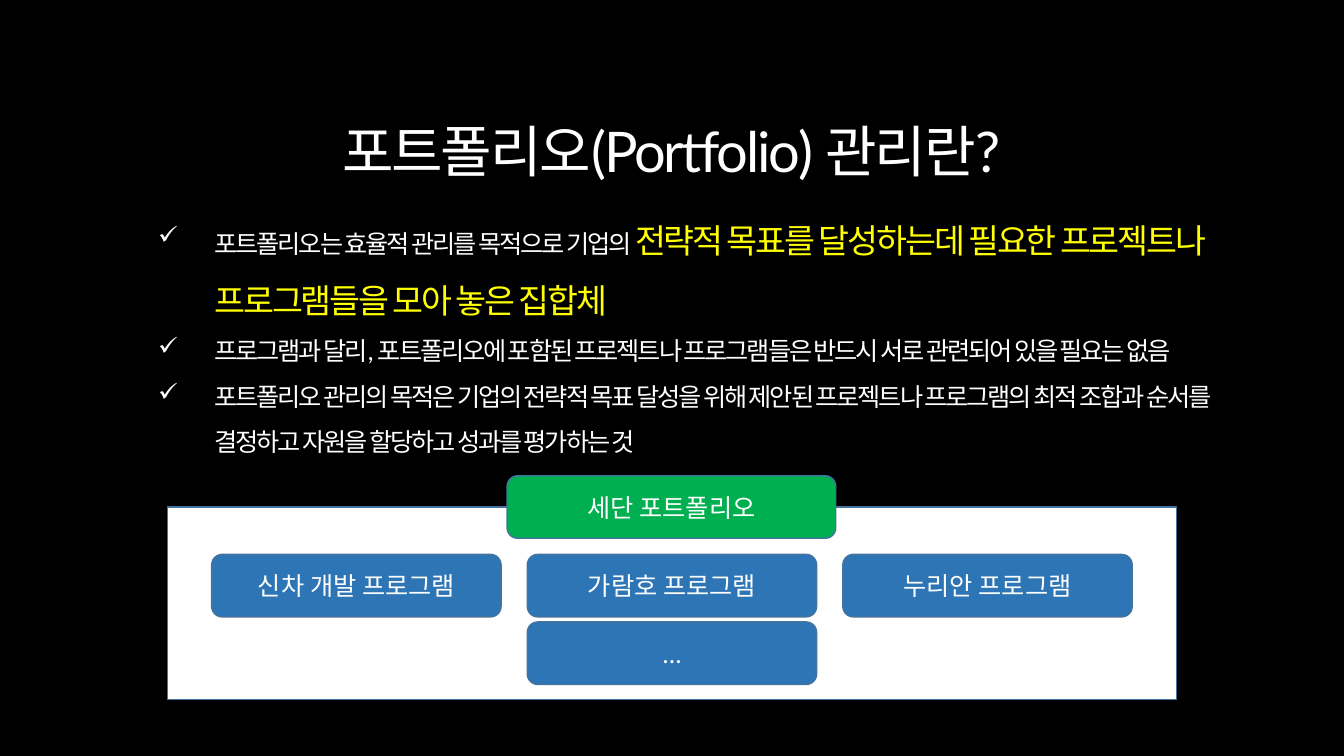
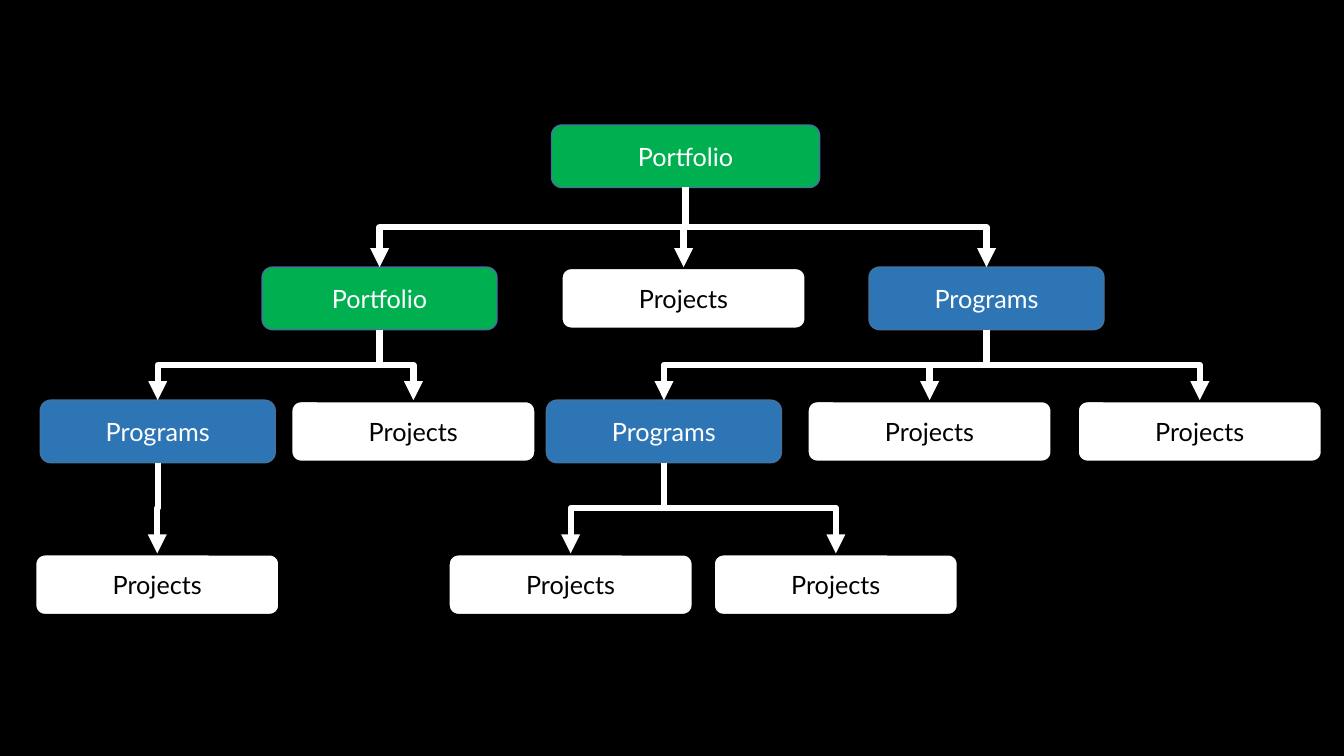
from lxml.etree import SubElement
from pptx import Presentation
from pptx.dml.color import RGBColor
from pptx.enum.shapes import MSO_CONNECTOR as CONNECTOR, MSO_SHAPE as SHAPE
from pptx.enum.text import MSO_ANCHOR as ANCHOR, PP_ALIGN as ALIGN
from pptx.oxml.ns import qn
from pptx.util import Pt

EMU_PER_PX = 9144  # 100 px to the inch
FONT = "Lato"
COLOURS = {
    "black": "000000",
    "white": "FFFFFF",
    "yellow": "FFFF00",
    "green": "00B050",
    "blue": "2E75B6",
    "edge": "43739E",
}
BOX_HEIGHT = 62
TOP, BOTTOM = 0, 2  # connection sites of a box


def px(length):
    return round(length * EMU_PER_PX)


def colour(name):
    return RGBColor.from_string(COLOURS[name])


class SlideMaker:
    """Holds the shared style and the slide being drawn."""

    def __init__(self):
        self.deck = Presentation()
        self.deck.slide_width, self.deck.slide_height = px(1333), px(750)
        self.page = None

    def new_page(self):
        self.page = self.deck.slides.add_slide(self.deck.slide_layouts[6])
        fill = self.page.background.fill
        fill.solid()
        fill.fore_color.rgb = colour("black")

    def style(self, para, size, ink):
        para.font.name = FONT
        para.font.size = Pt(size)
        para.font.color.rgb = colour(ink)

    def tight_span(self, para, text):
        span = para.add_run()
        span.text = text
        span._r.get_or_add_rPr().set("spc", "-150")
        return span

    def text_frame(self, x, y, width, height, wrap):
        box = self.page.shapes.add_textbox(px(x), px(y), px(width), px(height))
        box.text_frame.word_wrap = wrap
        return box.text_frame

    def title(self, text, x, y, width, height):
        para = self.text_frame(x, y, width, height, False).paragraphs[0]
        para.alignment = ALIGN.CENTER
        self.style(para, 40, "white")
        self.tight_span(para, text)

    def checklist(self, items, x, y, width, height):
        """Each item is a plain part and a highlighted part, which may be empty."""
        frame = self.text_frame(x, y, width, height, True)
        for index, (plain, highlight) in enumerate(items):
            para = frame.add_paragraph() if index else frame.paragraphs[0]
            para.line_spacing = 1.5
            props = para._p.get_or_add_pPr()
            props.set("marL", str(px(56)))
            props.set("indent", str(px(-56)))
            SubElement(props, qn("a:buChar"), char="✓")
            self.style(para, 18, "white")
            self.tight_span(para, plain)
            if highlight:
                span = self.tight_span(para, highlight)
                span.font.size = Pt(24)
                span.font.color.rgb = colour("yellow")

    def panel(self, x, y, width, height, fill, edge="edge", weight=1, kind=SHAPE.RECTANGLE):
        shape = self.page.shapes.add_shape(kind, px(x), px(y), px(width), px(height))
        shape.shadow.inherit = False
        shape.fill.solid()
        shape.fill.fore_color.rgb = colour(fill)
        shape.line.color.rgb = colour(edge)
        shape.line.width = Pt(weight)
        return shape

    def box(self, text, x, y, width, fill):
        on_white = fill == "white"
        edge, weight = ("black", 3) if on_white else ("edge", 1)
        shape = self.panel(x, y, width, BOX_HEIGHT, fill, edge, weight,
                           SHAPE.ROUNDED_RECTANGLE)
        frame = shape.text_frame
        frame.vertical_anchor = ANCHOR.MIDDLE
        para = frame.paragraphs[0]
        para.text = text
        para.alignment = ALIGN.CENTER
        self.style(para, 18, "black" if on_white else "white")
        return shape

    def branch(self, parent, child):
        """Elbow arrow that leaves the parent downwards and enters the child's top."""
        start_x = parent.left + parent.width // 2
        end_x = child.left + child.width // 2
        start_y, end_y = parent.top + parent.height, child.top
        arrow = self.page.shapes.add_connector(
            CONNECTOR.ELBOW, start_x, start_y, end_x, end_y)
        arrow.begin_connect(parent, BOTTOM)
        arrow.end_connect(child, TOP)

        # A quarter turn makes the first leg vertical
        drop, run = end_y - start_y, abs(end_x - start_x)
        arrow.left = (start_x + end_x - drop) // 2
        arrow.top = (start_y + end_y - run) // 2
        arrow.width, arrow.height = drop, run
        to_right = end_x > start_x
        frame = arrow._element.spPr.find(qn("a:xfrm"))
        frame.set("rot", "16200000" if to_right else "5400000")
        frame.set("flipH", "1" if to_right else "0")

        arrow.line.color.rgb = colour("white")
        arrow.line.width = Pt(4.5)
        SubElement(arrow.line._get_or_add_ln(), qn("a:tailEnd"), type="triangle")
        SubElement(arrow._element.spPr, qn("a:effectLst"))


def definition_page(maker):
    maker.new_page()
    maker.title("포트폴리오(Portfolio) 관리란?", 323, 111, 686, 77)
    maker.checklist([
        ("포트폴리오는 효율적 관리를 목적으로 기업의 ",
         "전략적 목표를 달성하는데 필요한 프로젝트나 프로그램들을 모아 놓은 집합체"),
        ("프로그램과 달리, 포트폴리오에 포함된 프로젝트나 프로그램들은 "
         "반드시 서로 관련되어 있을 필요는 없음", ""),
        ("포트폴리오 관리의 목적은 기업의 전략적 목표 달성을 위해 제안된 프로젝트나 "
         "프로그램의 최적 조합과 순서를 결정하고 자원을 할당하고 성과를 평가하는 것", ""),
    ], 147, 193, 1119, 268)

    # Example portfolio with its programs
    maker.panel(166, 503, 1001, 191, "white")
    maker.box("세단 포트폴리오", 503, 472, 326, "green")
    programs = [("신차 개발 프로그램", 0, 0), ("가람호 프로그램", 1, 0),
                ("누리안 프로그램", 2, 0), ("…", 1, 1)]
    for text, column, row in programs:
        maker.box(text, 210 + 313 * column, 550 + 67 * row, 287, "blue")


def hierarchy_page(maker):
    maker.new_page()
    row_tops = [124, 265, 397, 549]
    kinds = {"Portfolio": ("green", 233), "Programs": ("blue", 233),
             "Projects": ("white", 244)}

    # Key: kind, row, left edge, parent key
    nodes = {
        "sub portfolio": ("Portfolio", 1, 260, "root"),
        "root projects": ("Projects", 1, 556, "root"),
        "root programs": ("Programs", 1, 862, "root"),
        "left programs": ("Programs", 2, 40, "sub portfolio"),
        "left projects": ("Projects", 2, 288, "sub portfolio"),
        "middle programs": ("Programs", 2, 542, "root programs"),
        "middle projects": ("Projects", 2, 800, "root programs"),
        "right projects": ("Projects", 2, 1068, "root programs"),
        "leaf 1": ("Projects", 3, 34, "left programs"),
        "leaf 2": ("Projects", 3, 444, "middle programs"),
        "leaf 3": ("Projects", 3, 707, "middle programs"),
    }
    boxes = {"root": maker.box("Portfolio", 547, row_tops[0], 266, "green")}
    for key, (kind, row, x, _) in nodes.items():
        fill, width = kinds[kind]
        boxes[key] = maker.box(kind, x, row_tops[row], width, fill)
    for key, (_, _, _, parent) in nodes.items():
        maker.branch(boxes[parent], boxes[key])


def main():
    maker = SlideMaker()
    definition_page(maker)
    hierarchy_page(maker)
    maker.deck.save("out.pptx")


if __name__ == "__main__":
    main()
